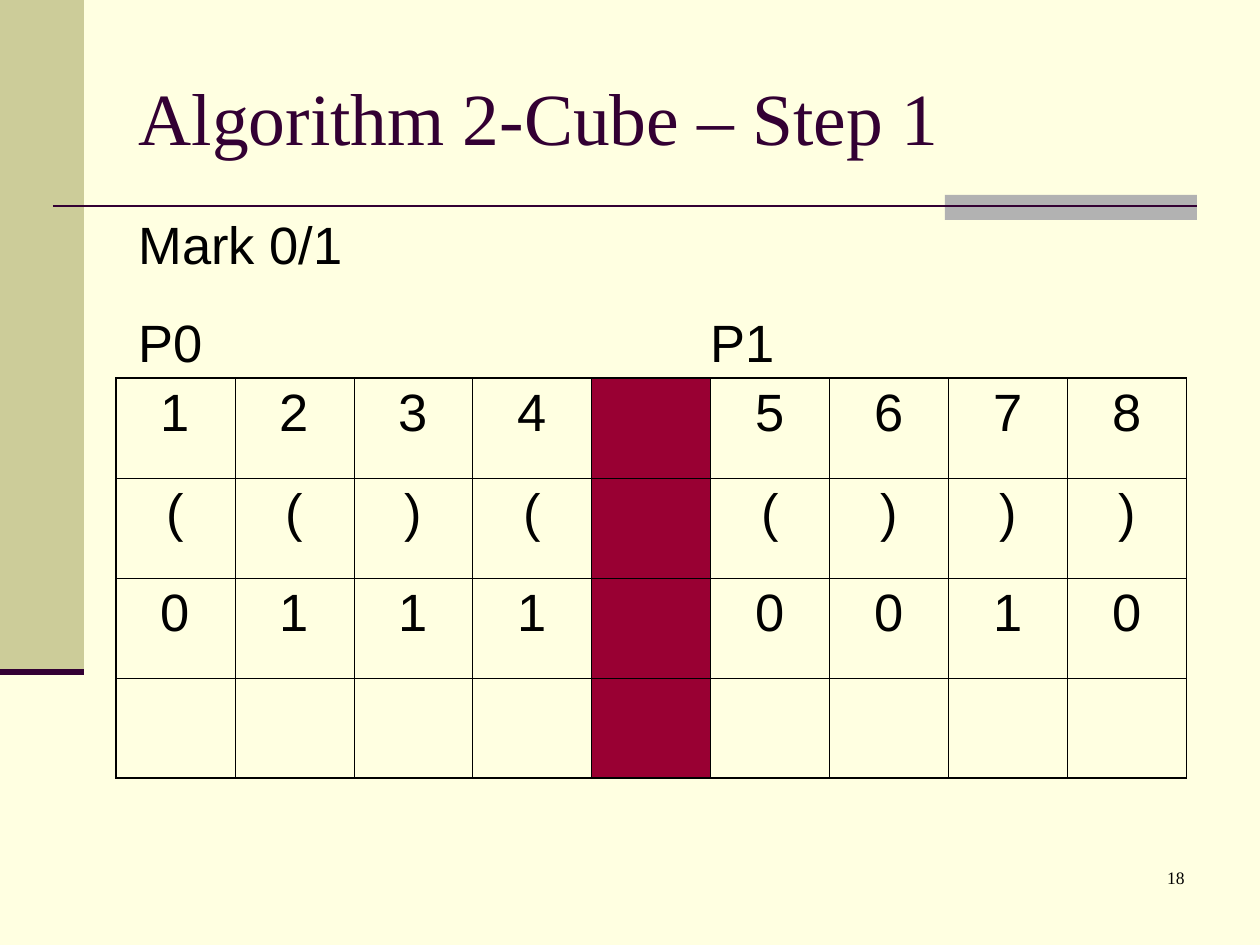
"""Build the slide on step 1 of the 2-cube algorithm."""
from lxml.etree import SubElement
from pptx import Presentation
from pptx.dml.color import RGBColor
from pptx.enum.shapes import MSO_CONNECTOR, MSO_SHAPE
from pptx.enum.text import MSO_ANCHOR, MSO_AUTO_SIZE, PP_ALIGN
from pptx.oxml.ns import qn
from pptx.util import Emu, Pt

COLORS = {"page": "FFFFE1", "band": "CCCC99", "block": "B2B2B2",
          "plum": "330033", "wall": "990033", "ink": "000000"}
FONTS = {
    "title": {"name": "Times New Roman", "size": Pt(42)},
    "body": {"name": "Arial", "size": Pt(30)},
    "number": {"name": "Times New Roman", "size": Pt(10)},
}
SCALE = 914400 / 126


def px(*vals):
    return [Emu(round(val * SCALE)) for val in vals]


def write(para, text, style, color="ink", align=PP_ALIGN.LEFT, before=0):
    para.text = text
    para.alignment = align
    para.space_before = Pt(before)
    for key, val in FONTS[style].items():
        setattr(para.font, key, val)
    para.font.color.rgb = RGBColor.from_string(COLORS[color])


deck = Presentation()
deck.slide_width, deck.slide_height = px(1260, 945)
slide = deck.slides.add_slide(deck.slide_layouts[5])
slide.background.fill.solid()
slide.background.fill.fore_color.rgb = RGBColor.from_string(COLORS["page"])
shapes = slide.shapes

for color, box in (("band", (0, 0, 84, 672)), ("block", (945, 195, 252, 25))):
    rect = shapes.add_shape(MSO_SHAPE.RECTANGLE, *px(*box))
    rect.shadow.inherit = False
    rect.fill.solid()
    rect.fill.fore_color.rgb = RGBColor.from_string(COLORS[color])
    rect.line.fill.background()

for left, right, y, width in ((53, 1197, 206, 1.5), (0, 84, 672, 3.5)):
    rule = shapes.add_connector(MSO_CONNECTOR.STRAIGHT, *px(left, y, right, y))
    rule.line.color.rgb = RGBColor.from_string(COLORS["plum"])
    rule.line.width = Pt(width)
    SubElement(rule._element.spPr, qn("a:effectLst"))

title = shapes.title
title.left, title.top, title.width, title.height = px(126, 38, 1071, 157)
title.text_frame.auto_size = MSO_AUTO_SIZE.NONE
title.text_frame.vertical_anchor = MSO_ANCHOR.MIDDLE
write(title.text_frame.paragraphs[0], "Algorithm 2-Cube – Step 1", "title", "plum")

ROWS = ["1234 5678", "(()( ()))", "0111 0010", " " * 9]
high, wide = len(ROWS), len(ROWS[0])
table = shapes.add_table(high, wide, *px(116, 378, 119 * wide, 100 * high)).table
table.first_row = table.horz_banding = False
for r, row in enumerate(ROWS):
    for c, mark in enumerate(row):
        cell = table.cell(r, c)
        if mark != " ":
            write(cell.text_frame.paragraphs[0], mark, "body",
                  align=PP_ALIGN.CENTER, before=7.5)
        edges = {"a:lnL": c == 0, "a:lnR": c == wide - 1,
                 "a:lnT": r == 0, "a:lnB": r == high - 1}
        props = cell._tc.get_or_add_tcPr()
        for tag, outer in edges.items():
            edge = SubElement(props, qn(tag), w=str(Pt(1.08 if outer else 0.45)))
            fill = SubElement(edge, qn("a:solidFill"))
            SubElement(fill, qn("a:srgbClr"), val=COLORS["ink"])
        if c == 4:
            cell.fill.solid()
            cell.fill.fore_color.rgb = RGBColor.from_string(COLORS["wall"])
        else:
            cell.fill.background()

frame = shapes.add_textbox(*px(126, 199, 998, 171)).text_frame
frame.word_wrap = True
frame.margin_top, = px(13)
write(frame.paragraphs[0], "Mark 0/1", "body")
labels = frame.add_paragraph()
write(labels, "P0\tP1", "body", before=20)
tabs = SubElement(labels._p.get_or_add_pPr(), qn("a:tabLst"))
SubElement(tabs, qn("a:tab"), pos=str(px(572)[0]), algn="l")

frame = shapes.add_textbox(*px(935, 861, 262, 63)).text_frame
frame.word_wrap = True
write(frame.paragraphs[0], "18", "number", align=PP_ALIGN.RIGHT)

deck.save("out.pptx")
